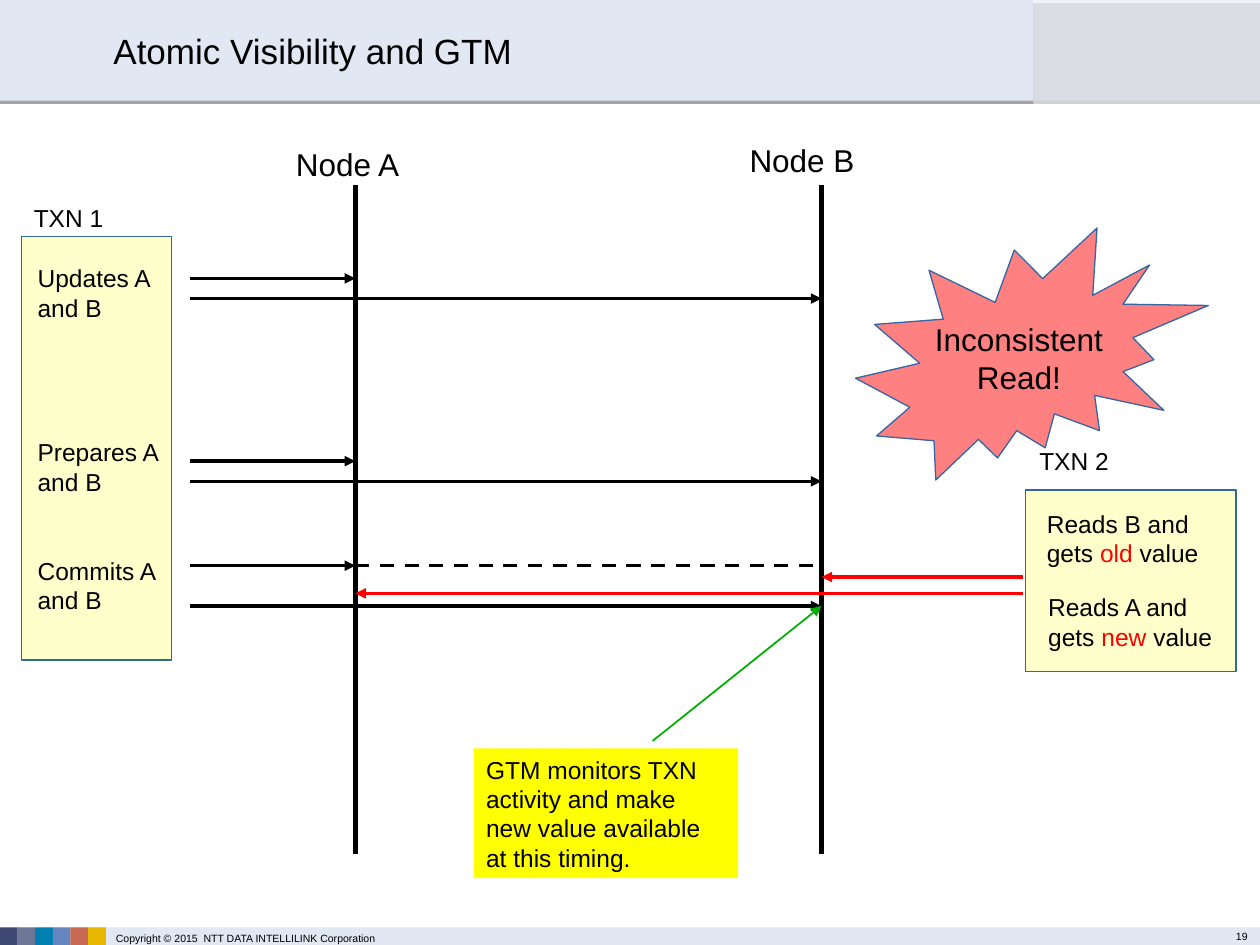
from typing import NamedTuple

from lxml import etree
from pptx import Presentation
from pptx.dml.color import RGBColor
from pptx.enum.dml import MSO_LINE
from pptx.enum.shapes import MSO_CONNECTOR, MSO_SHAPE
from pptx.enum.text import MSO_ANCHOR, MSO_AUTO_SIZE, PP_ALIGN
from pptx.oxml.ns import qn
from pptx.util import Inches, Pt

RECTANGLE, BURST = MSO_SHAPE.RECTANGLE, MSO_SHAPE.EXPLOSION2
STRAIGHT, DASH = MSO_CONNECTOR.STRAIGHT, MSO_LINE.DASH
LEFT, CENTER, RIGHT = PP_ALIGN.LEFT, PP_ALIGN.CENTER, PP_ALIGN.RIGHT
TOP, MIDDLE = MSO_ANCHOR.TOP, MSO_ANCHOR.MIDDLE
GROW = MSO_AUTO_SIZE.SHAPE_TO_FIT_TEXT

WIDTH, HEIGHT = Inches(10), Inches(7.5)
COLUMN, ROW = WIDTH / 100, HEIGHT / 75
FONT = "Arial"
COLORS = {
    "black": "000000", "band": "E1E7F3", "panel": "FFFFCC", "edge": "3465A4",
    "red": "FF0000", "burst": "FF8080", "green": "00AE00", "note": "FFFF00",
}
SWATCHES = ["3F4973", "6F7796", "0080B1", "6785C1", "C96953", "E6B600"]


class Box(NamedTuple):
    """An area in grid columns and rows."""
    left: float
    top: float
    width: float
    height: float

    def inside(self, left, top, width, height):
        """Return an area offset from this one's top left corner."""
        return Box(self.left + left, self.top + top, width, height)

    def lengths(self):
        """Return left, top, width and height in slide units."""
        return (round(self.left * COLUMN), round(self.top * ROW),
                round(self.width * COLUMN), round(self.height * ROW))


def rgb(color):
    """Look up a colour by name, or take a hex string."""
    return RGBColor.from_string(COLORS.get(color, color))


def add_runs(paragraph, parts, size):
    """Add (text, colour) parts as runs."""
    for text, color in parts:
        run = paragraph.add_run()
        run.text = text
        run.font.name = FONT
        run.font.size = Pt(size)
        run.font.color.rgb = rgb(color)


def write(shape, parts, size, align=LEFT, anchor=TOP, wrap=True, margins=(0.1, 0.05)):
    """Fill a shape's text frame with one formatted paragraph."""
    frame = shape.text_frame
    frame.word_wrap = wrap
    frame.vertical_anchor = anchor
    frame.margin_left = frame.margin_right = Inches(margins[0])
    frame.margin_top = frame.margin_bottom = Inches(margins[1])
    frame.paragraphs[0].alignment = align
    add_runs(frame.paragraphs[0], parts, size)
    return frame


def add_text(slide, box, parts, size, **options):
    """Add a text box that grows with its text."""
    shape = slide.shapes.add_textbox(*box.lengths())
    write(shape, parts, size, **options).auto_size = GROW


def add_block(slide, box, fill, edge=None, kind=RECTANGLE):
    """Add a filled shape with an optional hairline edge."""
    shape = slide.shapes.add_shape(kind, *box.lengths())
    shape.shadow.inherit = False
    shape.fill.solid()
    shape.fill.fore_color.rgb = rgb(fill)
    if edge:
        shape.line.color.rgb = rgb(edge)
        shape.line.width = Pt(0)
    else:
        shape.line.fill.background()
    return shape


def add_band(slide, box, opacity=100):
    """Add a band with a thin shadow below it."""
    shape = add_block(slide, box, "band")
    properties = shape.element.spPr
    fill_color = properties.find(qn("a:solidFill")).find(qn("a:srgbClr"))
    if opacity < 100:
        etree.SubElement(fill_color, qn("a:alpha"), val=str(opacity * 1000))
    shadow = etree.SubElement(properties.find(qn("a:effectLst")), qn("a:outerShdw"),
                              blurRad="0", dist=str(Pt(1.8)), dir="5400000",
                              algn="t", rotWithShape="0")
    color = etree.SubElement(shadow, qn("a:srgbClr"), val=COLORS["black"])
    etree.SubElement(color, qn("a:alpha"), val="35000")


def add_line(slide, start, end, color="black", width=0, arrow=True, dash=None):
    """Draw a straight line between two grid points."""
    ends = [round(value * unit) for point in (start, end)
            for value, unit in zip(point, (COLUMN, ROW))]
    line = slide.shapes.add_connector(STRAIGHT, *ends)
    line.line.color.rgb = rgb(color)
    line.line.width = Pt(width)
    if dash:
        line.line.dash_style = dash
    properties = line.element.spPr
    if arrow:
        etree.SubElement(properties.find(qn("a:ln")), qn("a:tailEnd"), type="triangle")
    etree.SubElement(properties, qn("a:effectLst"))


def add_header(slide, box, text):
    """Place the header bands and the title over them."""
    split = box.width * 0.82
    add_band(slide, box.inside(0, 0, split, box.height))
    add_band(slide, box.inside(split, 0, box.width - split, box.height), opacity=50)
    title = slide.shapes.title
    title.left, title.top, title.width, title.height = box.inside(
        8, 0, 74.7, box.height).lengths()
    write(title, [(text, "black")], 20, anchor=MIDDLE)
    tree = title.element.getparent()
    tree.remove(title.element)
    tree.append(title.element)


def add_footer(slide, box, copyright_line, number):
    """Place the footer band, its swatches, copyright line and page number."""
    add_band(slide, box)
    side = box.height
    for index, color in enumerate(SWATCHES):
        add_block(slide, box.inside(index * side, 0, side, side), color)
    add_text(slide, box.inside(8.3, 0.4, 23.9, 1), [(copyright_line, "black")], 6,
             wrap=False, margins=(0.09, 0))
    add_text(slide, box.inside(89.8, 0.2, 10.2, 1), [(number, "black")], 6,
             align=RIGHT, margins=(0.1, 0))


def add_node(slide, box, name, label_left, label_top):
    """Place a node's lifeline along the box's left side, with its label."""
    add_line(slide, (box.left, box.top), (box.left, box.top + box.height),
             width=3, arrow=False)
    add_text(slide, box.inside(label_left, label_top, 10.8, 3.8), [(name, "black")],
             18, wrap=False)


def add_transaction(slide, box, name, label_left, label_top, steps):
    """Place a transaction panel, its label and its steps."""
    add_block(slide, box, "panel", "edge")
    add_text(slide, box.inside(label_left, label_top, 7.6, 3.2), [(name, "black")],
             14, wrap=False)
    for left, top, width, parts in steps:
        add_text(slide, box.inside(left, top, width, 5.9), parts, 14)


def add_messages(slide, box, node_a, node_b):
    """Draw the messages from both transactions to the nodes."""
    rows = [(0, node_a), (1.6, node_b), (14.5, node_a), (16.1, node_b),
            (22.8, node_a), (26, node_b)]
    for row, target in rows:
        add_line(slide, (box.left, box.top + row), (target, box.top + row))
    commit = box.top + 22.8
    add_line(slide, (node_a, commit), (node_b, commit), arrow=False, dash=DASH)
    for row, target in [(23.7, node_b), (25, node_a)]:
        add_line(slide, (box.left + box.width, box.top + row),
                 (target, box.top + row), "red")


def add_burst(slide, box, lines):
    """Place the warning burst with its two centred lines."""
    shape = add_block(slide, box, "burst", "edge", BURST)
    frame = write(shape, [(lines[0], "black")], 18, CENTER, MIDDLE, wrap=False)
    paragraph = frame.paragraphs[0]
    paragraph.add_line_break()
    add_runs(paragraph, [(lines[1], "black")], 18)


def add_note(slide, box, text, target):
    """Place the note and its pointer to the target."""
    add_line(slide, (box.left + 14.2, box.top - 0.6), target, "green", width=1)
    shape = add_block(slide, box, "note")
    write(shape, [(text, "black")], 14)


def main():
    """Build the slide and save it."""
    presentation = Presentation()
    presentation.slide_width, presentation.slide_height = WIDTH, HEIGHT
    slide = presentation.slides.add_slide(presentation.slide_layouts[5])
    node_a, node_b = 28.2, 65.2
    add_header(slide, Box(0, 0, 100, 8), "Atomic Visibility and GTM")
    add_footer(slide, Box(0, 73.6, 100, 1.4),
               "Copyright © 2015  NTT DATA INTELLILINK Corporation", "19")
    add_node(slide, Box(node_a, 14.7, 0, 53.1), "Node A", -5.7, -3.7)
    add_node(slide, Box(node_b, 14.7, 0, 53.1), "Node B", -6.7, -4)
    add_messages(slide, Box(15.1, 22.1, 66.1, 26), node_a, node_b)
    add_transaction(slide, Box(1.7, 18.8, 11.9, 33.6), "TXN 1", 0, -3.2, [
        (0.3, top, 12.5, [(f"{verb} A and B", "black")])
        for verb, top in [("Updates", 1.6), ("Prepares", 15.4), ("Commits", 24.8)]])
    add_transaction(slide, Box(81.4, 38.9, 16.7, 14.4), "TXN 2", 0.1, -4, [
        (left, top, 15.1, [(f"Reads {node} and gets ", "black"), (age, "red"),
                           (" value", "black")])
        for node, age, left, top in [("B", "old", 0.7, 1), ("A", "new", 0.8, 7.6)]])
    add_burst(slide, Box(67.9, 18.1, 28, 20), ["Inconsistent", "Read!"])
    add_note(slide, Box(37.6, 59.4, 21, 10.3),
             "GTM monitors TXN activity and make new value available at this timing.",
             (node_b, 48.1))
    presentation.save("out.pptx")


if __name__ == "__main__":
    main()
